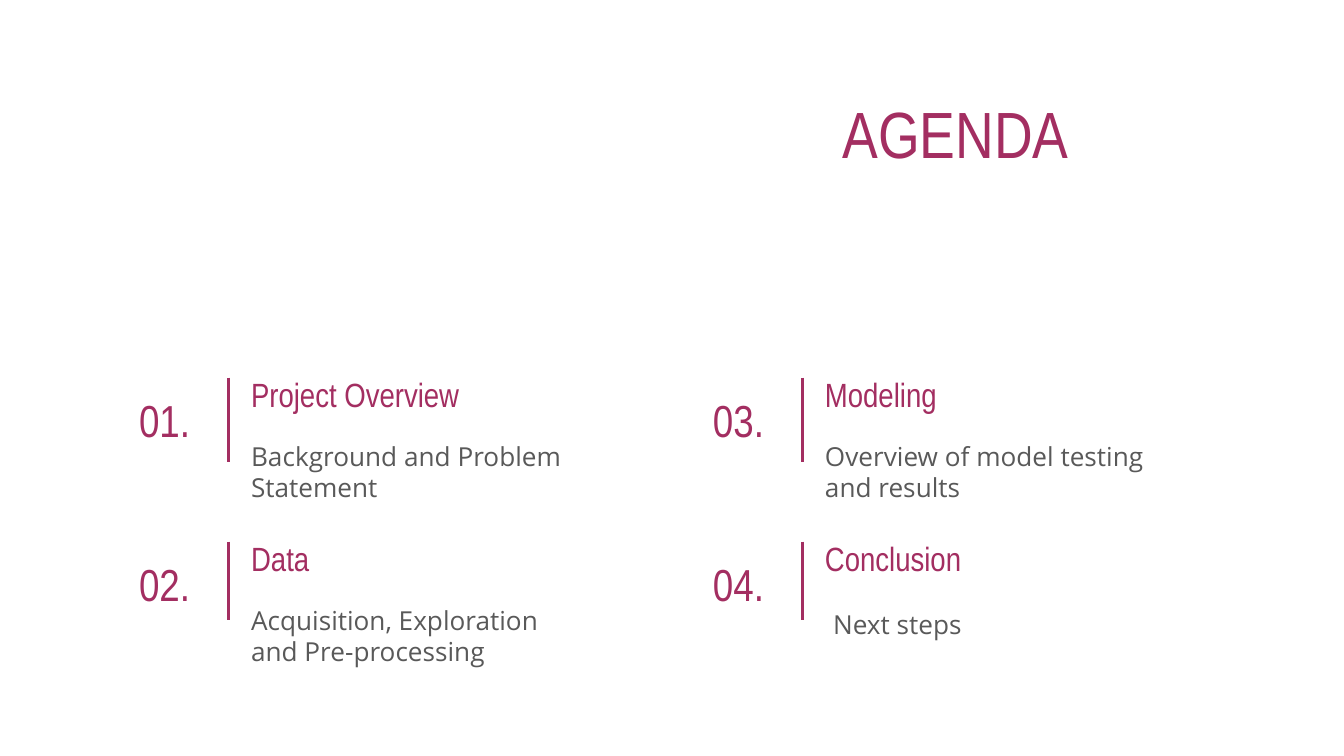
from lxml.etree import SubElement
from pptx import Presentation
from pptx.dml.color import RGBColor
from pptx.enum.shapes import MSO_CONNECTOR as Connector
from pptx.enum.text import MSO_ANCHOR as Anchor, PP_ALIGN as Align
from pptx.oxml.ns import qn
from pptx.util import Pt

# Content: number, heading, body, body box (dx, width, height)
WIDE_BODY = (0, 270, 58)
SHORT_BODY = (6, 265, 41)
TITLE = "AGENDA"
COLUMNS = [
    [
        ("01.", "Project Overview", "Background and Problem Statement", WIDE_BODY),
        ("02.", "Data", "Acquisition, Exploration and Pre-processing", WIDE_BODY),
    ],
    [
        ("03.", "Modeling", "Overview of model testing and results", WIDE_BODY),
        ("04.", "Conclusion", "Next steps", SHORT_BODY),
    ],
]

# Style and grid, in px (100 px to the inch)
PX = 9144
INSET = 10
BERRY, GRAY = "A32E61", "595959"
HEAD_FONT, BODY_FONT = "Arial Narrow", "Open Sans"
LEFT, COLUMN_PITCH = 86, 427
TOP, ROW_PITCH = 281, 122
RULE_HEIGHTS = [63, 58]
RULE_DX, TEXT_DX = 84, 91
HEADING_DY, BODY_DY = -13, 41


def px(value):
    return int(value * PX)


def color(hex_code):
    return RGBColor.from_string(hex_code)


def add_text(slide, text, left, top, width, height, *, size, font=HEAD_FONT,
             fill=BERRY, align=Align.LEFT, anchor=Anchor.TOP):
    shape = slide.shapes.add_textbox(px(left), px(top), px(width), px(height))
    frame = shape.text_frame
    frame.word_wrap = True
    frame.vertical_anchor = anchor
    frame.margin_left = frame.margin_right = px(INSET)
    frame.margin_top = frame.margin_bottom = px(INSET)
    paragraph = frame.paragraphs[0]
    paragraph.alignment = align
    run = paragraph.add_run()
    run.text = text
    run.font.size = Pt(size)
    run.font.name = font
    run.font.color.rgb = color(fill)


def add_rule(slide, x, top, height):
    rule = slide.shapes.add_connector(
        Connector.STRAIGHT, px(x), px(top), px(x), px(top + height))
    rule.line.color.rgb = color(BERRY)
    rule.line.width = Pt(1.5)
    SubElement(rule._element.spPr, qn("a:effectLst"))


def add_item(slide, item, left, top, rule_height):
    number, heading, body, (body_dx, body_width, body_height) = item
    text_left = left + TEXT_DX
    add_text(slide, number, left, top, 73, 63, size=24,
             align=Align.CENTER, anchor=Anchor.MIDDLE)
    add_rule(slide, left + RULE_DX, top, rule_height)
    add_text(slide, heading, text_left, top + HEADING_DY, 277, 49, size=18)
    add_text(slide, body, text_left + body_dx, top + BODY_DY, body_width,
             body_height, size=14, font=BODY_FONT, fill=GRAY,
             anchor=Anchor.MIDDLE)


def main():
    presentation = Presentation()
    presentation.slide_width = px(1000)
    presentation.slide_height = px(562.5)
    slide = presentation.slides.add_slide(presentation.slide_layouts[6])

    # Title
    add_text(slide, TITLE, 500, 59, 422, 92, size=35, align=Align.CENTER)

    # Agenda grid
    for column, items in enumerate(COLUMNS):
        for row, item in enumerate(items):
            add_item(slide, item, LEFT + column * COLUMN_PITCH,
                     TOP + row * ROW_PITCH, RULE_HEIGHTS[row])

    presentation.save("out.pptx")


if __name__ == "__main__":
    main()
